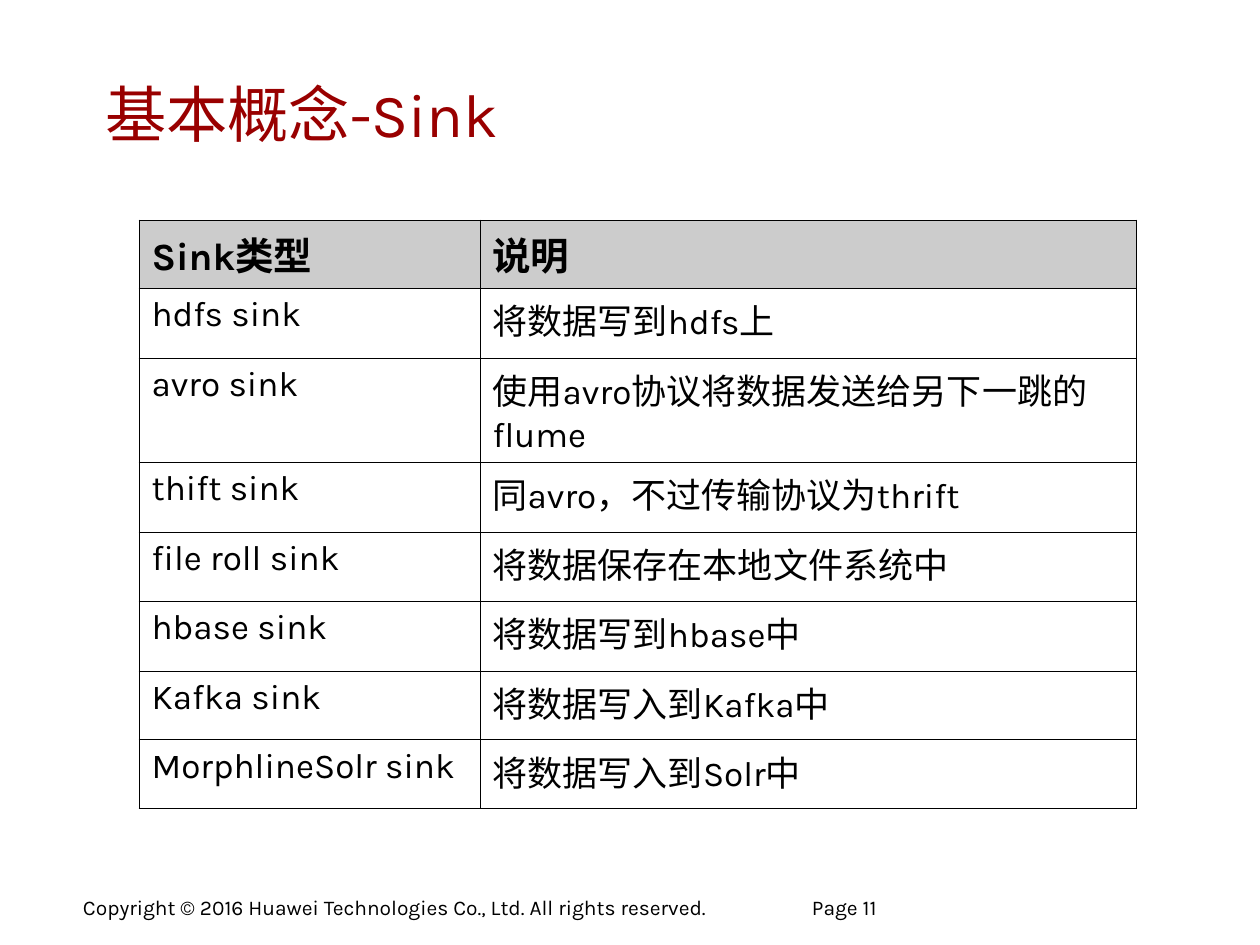
from lxml.etree import SubElement
from pptx import Presentation
from pptx.dml.color import RGBColor
from pptx.enum.text import MSO_ANCHOR
from pptx.oxml.ns import qn
from pptx.util import Pt

# Content
TITLE = "基本概念-Sink"
HEADER = ("Sink类型", "说明")
SINKS = [
    ("hdfs sink", "将数据写到hdfs上"),
    ("avro sink", "使用avro协议将数据发送给另下一跳的flume"),
    ("thift sink", "同avro，不过传输协议为thrift"),
    ("file roll sink", "将数据保存在本地文件系统中"),
    ("hbase sink", "将数据写到hbase中"),
    ("Kafka sink", "将数据写入到Kafka中"),
    ("MorphlineSolr sink", "将数据写入到Solr中"),
]
FOOTERS = [
    ("Copyright © 2016 Huawei Technologies Co., Ltd. All rights reserved.", (72, 890, 702, 37)),
    ("Page 11", (801, 890, 179, 39)),
]

# Layout in px, 126 to the inch
FONT = "Karla"
TABLE_LEFT, TABLE_TOP = 139, 220
COLUMN_WIDTHS = (341, 656)
ROW_HEIGHTS = (68, 70, 104, 70, 69, 70, 69, 69)


def px(length):
    return round(length * 914400 / 126)


def color(value):
    return RGBColor.from_string(value)


def write(frame, text, size, ink="000000", bold=False):
    span = frame.paragraphs[0].add_run()
    span.text = text
    font = span.font
    font.name, font.size, font.bold = FONT, Pt(size), bold
    font.color.rgb = color(ink)


def add_text(page, text, place, size, wrap=False, anchor=MSO_ANCHOR.TOP, **format):
    frame = page.shapes.add_textbox(*map(px, place)).text_frame
    frame.word_wrap = wrap
    frame.vertical_anchor = anchor
    frame.margin_left = frame.margin_right = px(11)
    frame.margin_top = frame.margin_bottom = px(5)
    write(frame, text, size, **format)


def add_borders(cell, ink="000000", width=Pt(0.45)):
    properties = cell._tc.get_or_add_tcPr()
    for side in ("lnL", "lnR", "lnT", "lnB"):
        line = SubElement(properties, qn(f"a:{side}"), w=str(width))
        fill = SubElement(line, qn("a:solidFill"))
        SubElement(fill, qn("a:srgbClr"), val=ink)


def add_sink_table(page):
    rows = [HEADER, *SINKS]
    place = (TABLE_LEFT, TABLE_TOP, sum(COLUMN_WIDTHS), sum(ROW_HEIGHTS))
    table = page.shapes.add_table(len(rows), len(HEADER), *map(px, place)).table
    table.first_row = table.horz_banding = False
    for column, width in zip(table.columns, COLUMN_WIDTHS):
        column.width = px(width)
    for index, (row, height) in enumerate(zip(table.rows, ROW_HEIGHTS)):
        row.height = px(height)
        is_header = index == 0
        for cell, text in zip(row.cells, rows[index]):
            add_borders(cell)
            if is_header:
                cell.fill.solid()
                cell.fill.fore_color.rgb = color("CCCCCC")
            else:
                cell.fill.background()
            write(cell.text_frame, text, 22 if is_header else 20, bold=is_header)


def main():
    deck = Presentation()
    deck.slide_width, deck.slide_height = px(1260), px(945)
    page = deck.slides.add_slide(deck.slide_layouts[6])

    # Footer
    for text, place in FOOTERS:
        add_text(page, text, place, 12)

    # Title and table
    add_text(page, TITLE, (94, 53, 1063, 120), 35, wrap=True,
             anchor=MSO_ANCHOR.MIDDLE, ink="990000")
    add_sink_table(page)

    deck.save("out.pptx")


if __name__ == "__main__":
    main()
